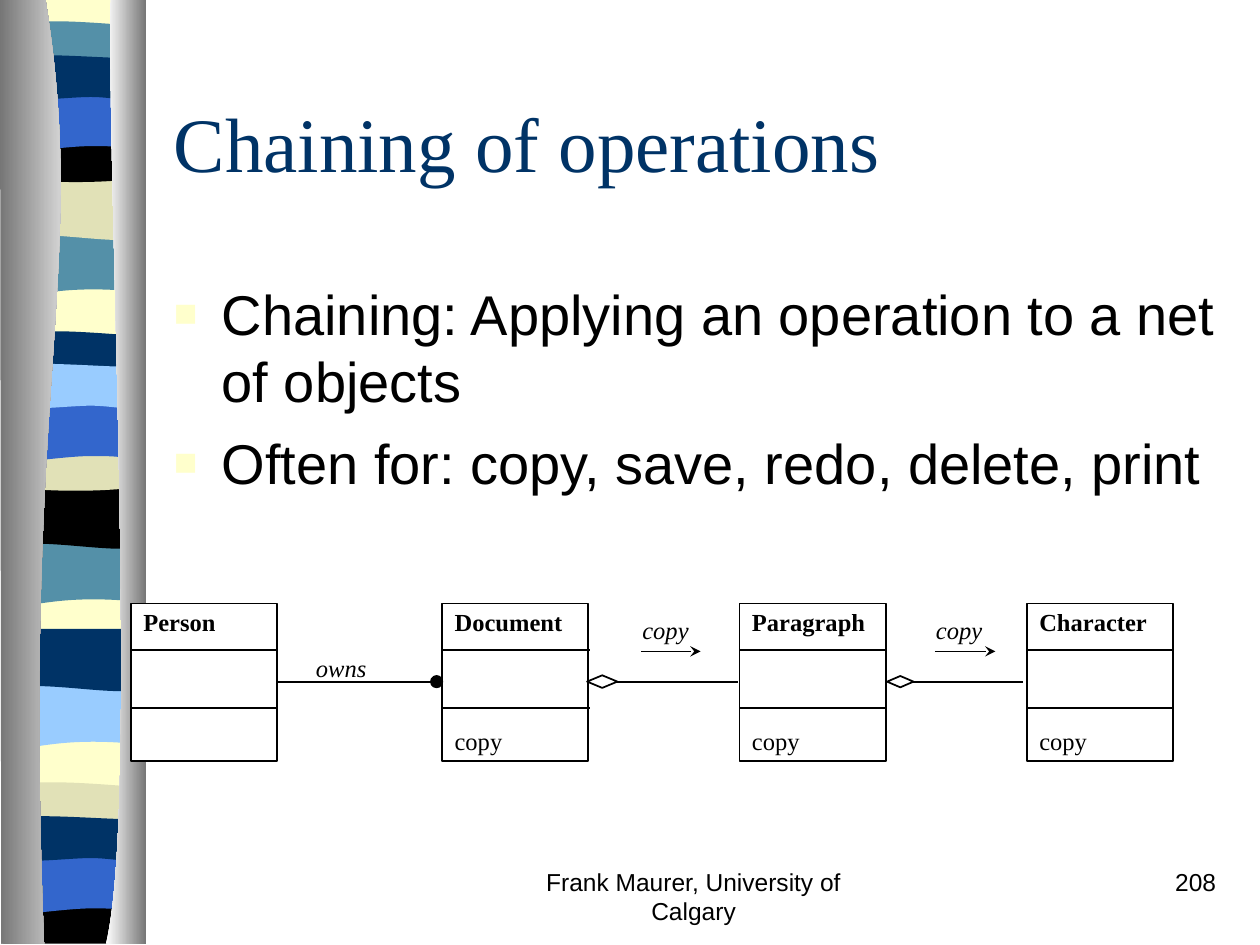
from lxml import etree
from pptx import Presentation
from pptx.dml.color import RGBColor
from pptx.enum.shapes import MSO_CONNECTOR, MSO_SHAPE
from pptx.enum.text import MSO_ANCHOR, MSO_AUTO_SIZE, PP_ALIGN
from pptx.oxml.ns import qn
from pptx.util import Inches, Pt

HUES = {"cream": "FFFFCC", "teal": "5490A8", "sand": "E1E1B7",
        "black": "000000", "blue": "3366CC", "navy": "003366",
        "sky": "99CCFF", "grey": "767676", "white": "FFFFFF"}
SERIF, SANS = "Times New Roman", "Arial"

TITLE = "Chaining of operations"
POINTS = ["Chaining: Applying an operation to a net of objects",
          "Often for: copy, save, redo, delete, print"]
CLASSES = [("Person", 1.04, None), ("Document", 3.51, "copy"),
           ("Paragraph", 5.87, "copy"), ("Character", 8.15, "copy")]
LINKS = [(2.21, 3.5), (4.68, 5.86), (7.05, 8.12)]
ENDS = [(MSO_SHAPE.OVAL, 3.42, 0.09, 0.09, "black"),
        (MSO_SHAPE.DIAMOND, 4.66, 0.24, 0.1, "white"),
        (MSO_SHAPE.DIAMOND, 7.04, 0.21, 0.09, "white")]
LABELS = [("owns", 2.41, 5.13, 0.6), ("copy", 5, 4.83, 0.57),
          ("copy", 7.33, 4.83, 0.57)]
ARROWS = [(5.09, 5.56), (7.42, 7.9)]
FOOT = [("Frank Maurer, University of Calgary", 3.92, 3.17, PP_ALIGN.CENTER),
        ("208", 7.67, 2.08, PP_ALIGN.RIGHT)]

# Outlines: a pair is a straight step, a triple of pairs a Bezier curve.
BANDS = {
    "base": [(1.08, 0), (1.08, 7.48), (0, 7.48), (0, 0)],
    "dip": [(1.08, 0), (1.08, 0.47),
            ((0.33, 0.39), (0.18, 0.55), (0, 0.47)), (0, 0)],
    "sag": [(1.08, 0), (1.08, 0.47),
            ((0.9, 0.55), (0.33, 0.41), (0, 0.47)), (0, 0)],
    "thin": [(1.08, 0.05), (1.08, 0.29),
             ((0.9, 0.33), (0.18, 0.33), (0, 0.29)), (0, 0.05),
             ((0.06, 0), (0.23, 0.01), (0.41, 0.01)),
             ((0.59, 0.01), (0.94, 0.04), (1.08, 0.05))],
    "arch": [(1.08, 0), (1.08, 0.32),
             ((0.9, 0.38), (0.18, 0.38), (0, 0.32)), (0, 0),
             ((0.66, 0.05), (0.85, 0), (1.08, 0))],
    "foot": [(1.08, 0), (1.08, 0.37), (0, 0.37), (0, 0),
             ((0.66, 0.05), (0.85, 0), (1.08, 0))],
    "hill": [(1.08, 0), (1.08, 0.47),
             ((0.91, 0.42), (0.84, 0.42), (0.66, 0.42)),
             ((0.48, 0.42), (0.16, 0.47), (0, 0.47)), (0, 0)],
    "swell": [(1.08, 0.05), (1.08, 0.36),
              ((1.01, 0.41), (0.84, 0.36), (0.66, 0.36)),
              ((0.48, 0.36), (0.11, 0.41), (0, 0.36)), (0, 0.05),
              ((0.15, 0), (0.73, 0.05), (0.91, 0.05)),
              ((1.09, 0.05), (1.04, 0.05), (1.08, 0.05))],
}
RIBBON = [("base", -0.01, "cream"),
          ("dip", 1.85, "teal"), ("sag", 1.41, "sand"), ("thin", 0.16, "teal"),
          ("arch", 1.08, "black"), ("hill", 0.74, "blue"), ("swell", 0.41, "navy"),
          ("dip", 4.31, "teal"), ("sag", 3.86, "black"), ("thin", 2.62, "navy"),
          ("arch", 3.53, "sand"), ("hill", 3.2, "blue"), ("swell", 2.86, "sky"),
          ("dip", 5.44, "sky"), ("sag", 4.99, "navy"), ("thin", 6.2, "sand"),
          ("foot", 7.12, "black"), ("hill", 6.79, "blue"), ("swell", 6.45, "navy")]
SIDES = [([(0.36, -0.01), ((0.71, 2.16), (0.17, 2.96), (0.35, 7.49)),
           (0.01, 7.49), (0, -0.01)], ("grey", "white")),
         ([(0.88, -0.01), ((0.84, 1.25), (1.11, 6.46), (0.84, 7.49)),
           (1.16, 7.49), (1.16, 0)], ("white", "grey"))]


def rgb(hue):
    return RGBColor.from_string(HUES[hue])


def outline(host, steps, left=0, top=0):
    """Build a freeform, then join the three points of each curve."""
    groups = [s if isinstance(s[0], tuple) else (s,) for s in steps]
    dots = [(Inches(left + x), Inches(top + y)) for g in groups for x, y in g]
    pen = host.build_freeform(*dots[0])
    pen.add_line_segments(dots[1:], close=True)
    shape = pen.convert_to_shape()
    shape.shadow.inherit = False
    shape.line.fill.background()
    lines = iter(list(shape._element.iter(qn("a:lnTo"))))
    for group in groups[1:]:
        parts = [next(lines) for _ in group]
        if len(parts) == 3:
            parts[0].tag = qn("a:cubicBezTo")
            for part in parts[1:]:
                parts[0].append(part[0])
                part.getparent().remove(part)
    return shape


def style(para, size, font, hue="black", bold=False, italic=False):
    for run in para.runs:
        face = run.font
        face.size, face.name = Pt(size), font
        face.bold, face.italic = bold, italic
        face.color.rgb = rgb(hue)


def place(shape, *box):
    shape.left, shape.top, shape.width, shape.height = map(Inches, box)


def write(host, text, box, wrap=True):
    frame = host.add_textbox(*map(Inches, box)).text_frame
    frame.word_wrap = wrap
    frame.text = text
    return frame


def form(host, kind, box, hue):
    shape = host.add_shape(kind, *map(Inches, box))
    shape.shadow.inherit = False
    shape.fill.solid()
    shape.fill.fore_color.rgb = rgb(hue)
    shape.line.color.rgb = rgb("black")
    shape.line.width = Pt(1)


def rule(host, start, end, y, head=None):
    line = host.add_connector(
        MSO_CONNECTOR.STRAIGHT, Inches(start), Inches(y), Inches(end), Inches(y))
    line.line.color.rgb = rgb("black")
    line.line.width = Pt(1)
    props = line._element.spPr
    if head:
        etree.SubElement(props.find(qn("a:ln")), qn("a:tailEnd"), type=head)
    etree.SubElement(props, qn("a:effectLst"))


def bullet(para):
    props = para._p.get_or_add_pPr()
    props.set("marL", str(Inches(0.38)))
    props.set("indent", str(Inches(-0.38)))
    tint = etree.SubElement(props, qn("a:buClr"))
    etree.SubElement(tint, qn("a:srgbClr"), val=HUES["cream"])
    etree.SubElement(props, qn("a:buSzPct"), val="70000")
    etree.SubElement(props, qn("a:buFont"), typeface=SANS)
    etree.SubElement(props, qn("a:buChar"), char="■")


deck = Presentation()
deck.slide_width, deck.slide_height = Inches(10), Inches(7.5)
slide = deck.slides.add_slide(deck.slide_layouts[1])
page = slide.shapes

ribbon = page.add_group_shape()
for band, top, hue in RIBBON:
    shape = outline(ribbon.shapes, BANDS[band], 0.06, top)
    shape.fill.solid()
    shape.fill.fore_color.rgb = rgb(hue)
for steps, hues in SIDES:
    shape = outline(ribbon.shapes, steps)
    shape.fill.gradient()
    shape.fill.gradient_angle = 0
    for stop, hue, spot in zip(shape.fill.gradient_stops, hues, (0, 1)):
        stop.color.rgb, stop.position = rgb(hue), spot
# The ribbon belongs to the template, behind its placeholders.
deck.slide_master.shapes._spTree.insert(2, ribbon._element)

title, body = page.title, slide.placeholders[1]
place(title, 1.28, 0.5, 8.5, 1.25)
title.text_frame.text = TITLE
title.text_frame.auto_size = MSO_AUTO_SIZE.NONE
title.text_frame.vertical_anchor = MSO_ANCHOR.MIDDLE
title.text_frame.paragraphs[0].alignment = PP_ALIGN.LEFT
style(title.text_frame.paragraphs[0], 44, SERIF, "navy")

place(body, 1.28, 2.17, 8.5, 4.5)
body.text_frame.text = "\n".join(POINTS)
body.text_frame.auto_size = MSO_AUTO_SIZE.NONE
for n, para in enumerate(body.text_frame.paragraphs):
    bullet(para)
    para.space_before = Pt(8 if n else 0)
    style(para, 32, SANS)

for name, left, method in CLASSES:
    card = page.add_group_shape().shapes
    form(card, MSO_SHAPE.RECTANGLE, (left, 4.79, 1.16, 1.25), "white")
    frame = write(card, name, (left, 4.77, 1.16, 1.27))
    style(frame.paragraphs[0], 14, SERIF, bold=True)
    if method:
        para = frame.add_paragraph()
        para.text = method
        para.space_before = Pt(51)
        style(para, 14, SERIF)
    for y in (5.16, 5.62):
        rule(card, left, left + 1.17, y)

for start, end in LINKS:
    rule(page, start, end, 5.41)
for kind, left, width, height, hue in ENDS:
    form(page, kind, (left, 5.41 - height / 2, width, height), hue)
for text, left, top, width in LABELS:
    style(write(page, text, (left, top, width, 0.33), False).paragraphs[0],
          14, SERIF, italic=True)
for start, end in ARROWS:
    rule(page, start, end, 5.17, "stealth")

for text, left, width, align in FOOT:
    para = write(page, text, (left, 6.83, width, 0.5)).paragraphs[0]
    para.alignment = align
    style(para, 14, SANS)

deck.save("out.pptx")
